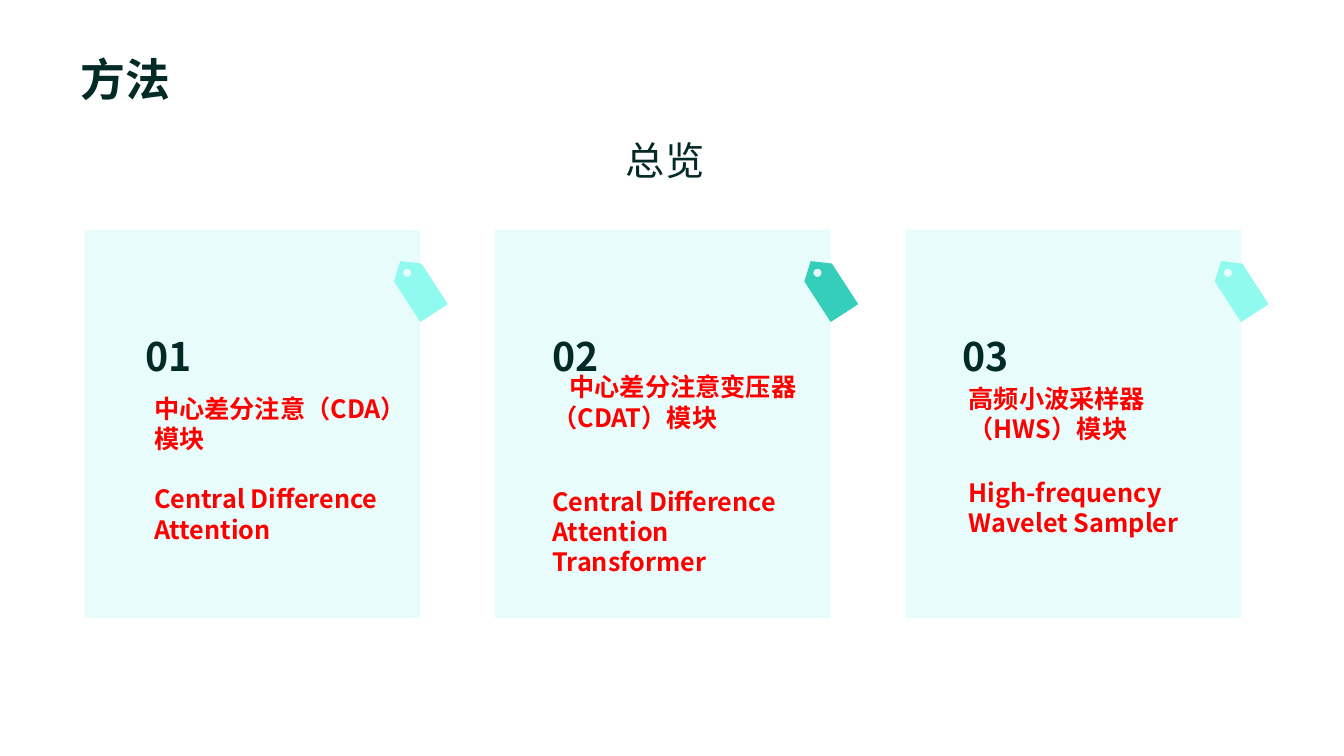
"""Build the method overview slide with three tagged cards."""
from math import cos, pi, sin

from lxml.etree import SubElement as Sub
from pptx import Presentation
from pptx.dml.color import RGBColor
from pptx.enum.shapes import MSO_SHAPE as Shape
from pptx.enum.text import MSO_ANCHOR as Anchor
from pptx.oxml.ns import qn
from pptx.util import Inches, Pt

FONT = "Noto Sans CJK SC"
DARK = RGBColor(0x02, 0x2A, 0x26)
RED = RGBColor(0xFF, 0x00, 0x00)
AQUA = RGBColor(0x21, 0xF4, 0xDF)
LIGHT = RGBColor(0x90, 0xFA, 0xEF)
TEAL = RGBColor(0x35, 0xCE, 0xBA)

deck = Presentation()
deck.slide_width, deck.slide_height = Inches(13.33), Inches(7.5)
slide = deck.slides.add_slide(deck.slide_layouts[6])
shapes = slide.shapes


def add_text(place, lines, size, color, bold=True, anchor=Anchor.MIDDLE, wrap=True):
    frame = shapes.add_textbox(*map(Inches, place)).text_frame
    frame.word_wrap, frame.vertical_anchor = wrap, anchor
    frame.text = "\n".join(lines)
    style = {"size": Pt(size), "name": FONT, "bold": bold}
    for para in frame.paragraphs:
        font = para.runs[0].font
        for key, value in style.items():
            setattr(font, key, value)
        font.color.rgb = color
        Sub(para.runs[0]._r.get_or_add_rPr(), qn("a:ea"), typeface=FONT)
    return frame.paragraphs


def paint(shape, color):
    shape.shadow.inherit = False
    shape.fill.solid()
    shape.fill.fore_color.rgb = color
    shape.line.fill.background()


title = add_text((0.7, -0.32, 5.75, 1.42), ["方法"], 32, DARK, anchor=Anchor.BOTTOM)
title[0].line_spacing = 1.2

EDGE = [(0.02, 0.02), (0.23, 0), (0.57, 0.34), (0.34, 0.57), (0, 0.23)]
STEPS = 24
turns = [-2 * pi * step / STEPS for step in range(STEPS)]
HOLE = [(0.11 + 0.04 * cos(turn), 0.12 + 0.04 * sin(turn)) for turn in turns]

CARDS = [
    ("01", 1.34, LIGHT, (1.43, 3.85, 2.86, 1.92), Anchor.TOP, 0, 21.6,
     ["中心差分注意（CDA）模块", "Central Difference Attention"]),
    ("02", 5.38, TEAL, (5.38, 3.78, 2.81, 1.85), Anchor.MIDDLE, 0.17, 38.4,
     ["中心差分注意变压器（CDAT）模块", "Central Difference Attention Transformer"]),
    ("03", 9.45, LIGHT, (9.51, 3.75, 2.8, 1.98), Anchor.TOP, 0, 24,
     ["高频小波采样器（HWS）模块", "High-frequency Wavelet Sampler"]),
]
for index, (number, num_left, color, place, anchor, indent, gap, lines) in enumerate(CARDS):
    left = 0.84 + 4.07 * index
    card = shapes.add_shape(Shape.RECTANGLE, *map(Inches, (left, 2.28, 3.33, 3.85)))
    paint(card, AQUA)
    tint = card.fill._xPr.find(qn("a:solidFill"))[0]
    Sub(tint, qn("a:alpha"), val="10000")

    edge, hole = [[(Inches(left + 3.05 + x), Inches(2.62 + y)) for x, y in ring]
                  for ring in (EDGE, HOLE)]
    form = shapes.build_freeform(*edge[0])
    form.add_line_segments(edge[1:])
    form.move_to(*hole[0])
    form.add_line_segments(hole[1:])
    tag = form.convert_to_shape()
    tag.rotation = 12
    paint(tag, color)

    first, second = add_text(place, lines, 18, RED, anchor=anchor)
    if indent:
        first._p.get_or_add_pPr().set("indent", str(Inches(indent)))
    second.space_before = Pt(gap)
    add_text((num_left, 3.25, 2.56, 0.57), [number], 28, DARK)

add_text((6.11, 1.3, 0.99, 0.57), ["总览"], 28, DARK, bold=False, anchor=Anchor.TOP, wrap=False)

deck.save("out.pptx")
